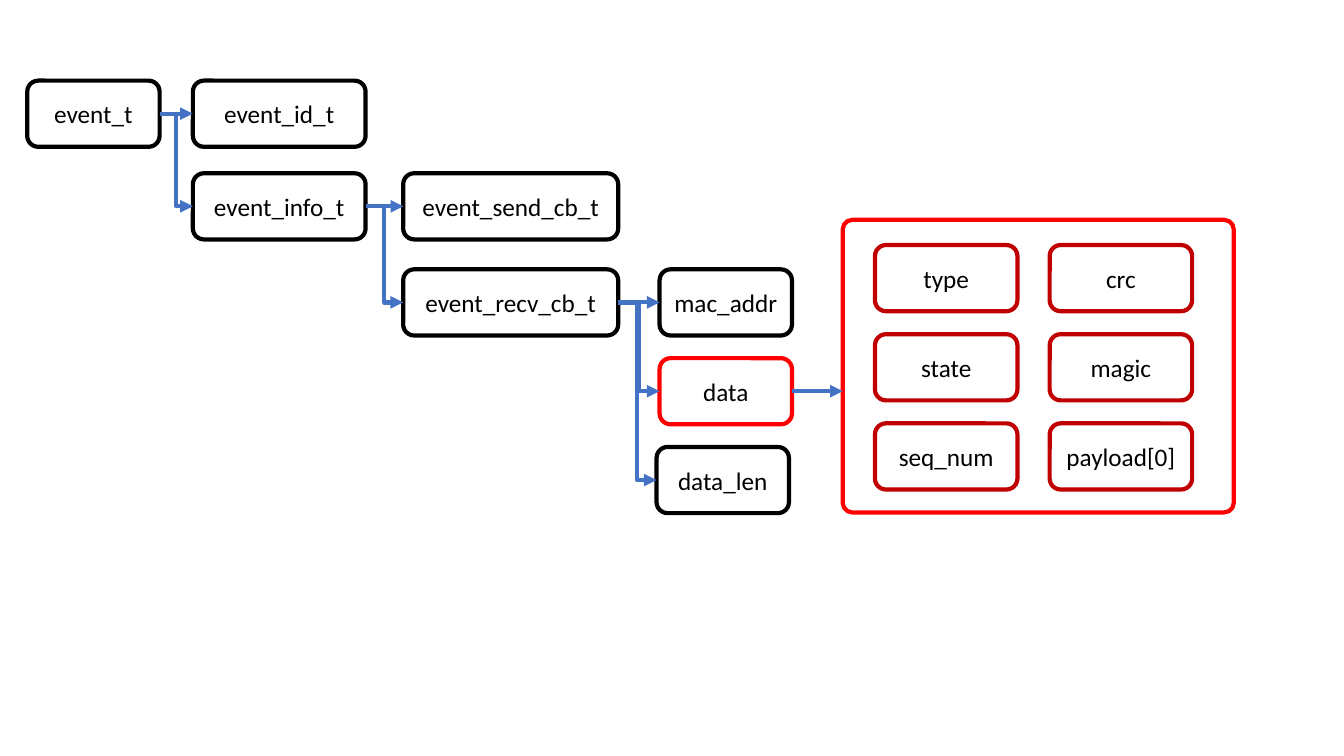
"""Draws the nested fields of an event structure as a left-to-right tree."""
from dataclasses import dataclass

from lxml import etree
from pptx import Presentation
from pptx.dml.color import RGBColor
from pptx.enum.shapes import MSO_CONNECTOR, MSO_SHAPE
from pptx.enum.text import MSO_ANCHOR, PP_ALIGN
from pptx.oxml.ns import qn
from pptx.util import Inches, Pt

ROUNDED = MSO_SHAPE.ROUNDED_RECTANGLE
STRAIGHT, ELBOW = MSO_CONNECTOR.STRAIGHT, MSO_CONNECTOR.ELBOW
CENTER, MIDDLE = PP_ALIGN.CENTER, MSO_ANCHOR.MIDDLE
LEFT_SITE, RIGHT_SITE = 1, 3
COLUMNS, ROWS = 40, 24


@dataclass(frozen=True)
class Theme:
    font: str = "Calibri"
    text_size: int = 18
    stroke: int = 3
    ink: str = "000000"
    highlight: str = "FF0000"
    field: str = "C00000"
    arrow: str = "4472C4"


class Diagram:
    def __init__(self, deck, theme):
        self.theme = theme
        self.slide = deck.slides.add_slide(deck.slide_layouts[6])
        self.column = deck.slide_width / COLUMNS
        self.row = deck.slide_height / ROWS

    def stroke(self, line, color):
        line.color.rgb = RGBColor.from_string(color)
        line.width = Pt(self.theme.stroke)

    def frame(self, left, top, width, height, color, rounding=0.1667):
        outline = self.slide.shapes.add_shape(
            ROUNDED, round(left * self.column), round(top * self.row),
            round(width * self.column), round(height * self.row))
        outline.adjustments[0] = rounding
        outline.shadow.inherit = False
        outline.fill.background()
        self.stroke(outline.line, color)
        return outline

    def box(self, label, left, top, width, color, height=2.1):
        node = self.frame(left, top, width, height, color)
        node.text_frame.vertical_anchor = MIDDLE
        paragraph = node.text_frame.paragraphs[0]
        paragraph.alignment = CENTER
        run = paragraph.add_run()
        run.text = label
        run.font.name = self.theme.font
        run.font.size = Pt(self.theme.text_size)
        run.font.color.rgb = RGBColor.from_string(self.theme.ink)
        return node

    def arrow(self, source, target, kind=STRAIGHT, glued=True):
        level = source.top + source.height // 2
        link = self.slide.shapes.add_connector(
            kind, source.left + source.width, level, target.left, level)
        link.begin_connect(source, RIGHT_SITE)
        if glued:
            link.end_connect(target, LEFT_SITE)
        self.stroke(link.line, self.theme.arrow)
        etree.SubElement(link.line._get_or_add_ln(), qn("a:tailEnd"), type="triangle")
        etree.SubElement(link._element.spPr, qn("a:effectLst"))


deck = Presentation()
deck.slide_width, deck.slide_height = Inches(13.33), Inches(7.5)
theme = Theme()
diagram = Diagram(deck, theme)

TREE = [
    ("event_t", 0.81, 2.56, 3.94, theme.ink),
    ("event_id_t", 5.74, 2.56, 5.14, theme.ink),
    ("event_info_t", 5.74, 5.5, 5.14, theme.ink),
    ("event_send_cb_t", 12, 5.5, 6.4, theme.ink),
    ("event_recv_cb_t", 12, 8.55, 6.4, theme.ink),
    ("mac_addr", 19.63, 8.55, 3.94, theme.ink),
    ("data", 19.63, 11.37, 3.94, theme.highlight),
    ("data_len", 19.54, 14.19, 3.94, theme.ink),
]
nodes = {entry[0]: diagram.box(*entry) for entry in TREE}

payload_frame = diagram.frame(25.08, 6.98, 11.64, 9.29, theme.highlight, rounding=0.033)
FIELDS = [("type", "crc"), ("state", "magic"), ("seq_num", "payload[0]")]
for line, pair in enumerate(FIELDS):
    for side, label in enumerate(pair):
        diagram.box(label, 26.04 + 5.2 * side, 7.78 + 2.83 * line, 4.24, theme.field)

LINKS = [
    ("event_t", "event_info_t", ELBOW),
    ("event_t", "event_id_t", STRAIGHT),
    ("event_info_t", "event_recv_cb_t", ELBOW),
    ("event_info_t", "event_send_cb_t", STRAIGHT),
    ("event_recv_cb_t", "data_len", ELBOW),
    ("event_recv_cb_t", "data", ELBOW),
    ("event_recv_cb_t", "mac_addr", STRAIGHT),
]
for parent, child, kind in LINKS:
    diagram.arrow(nodes[parent], nodes[child], kind)
diagram.arrow(nodes["data"], payload_frame, glued=False)

deck.save("out.pptx")
